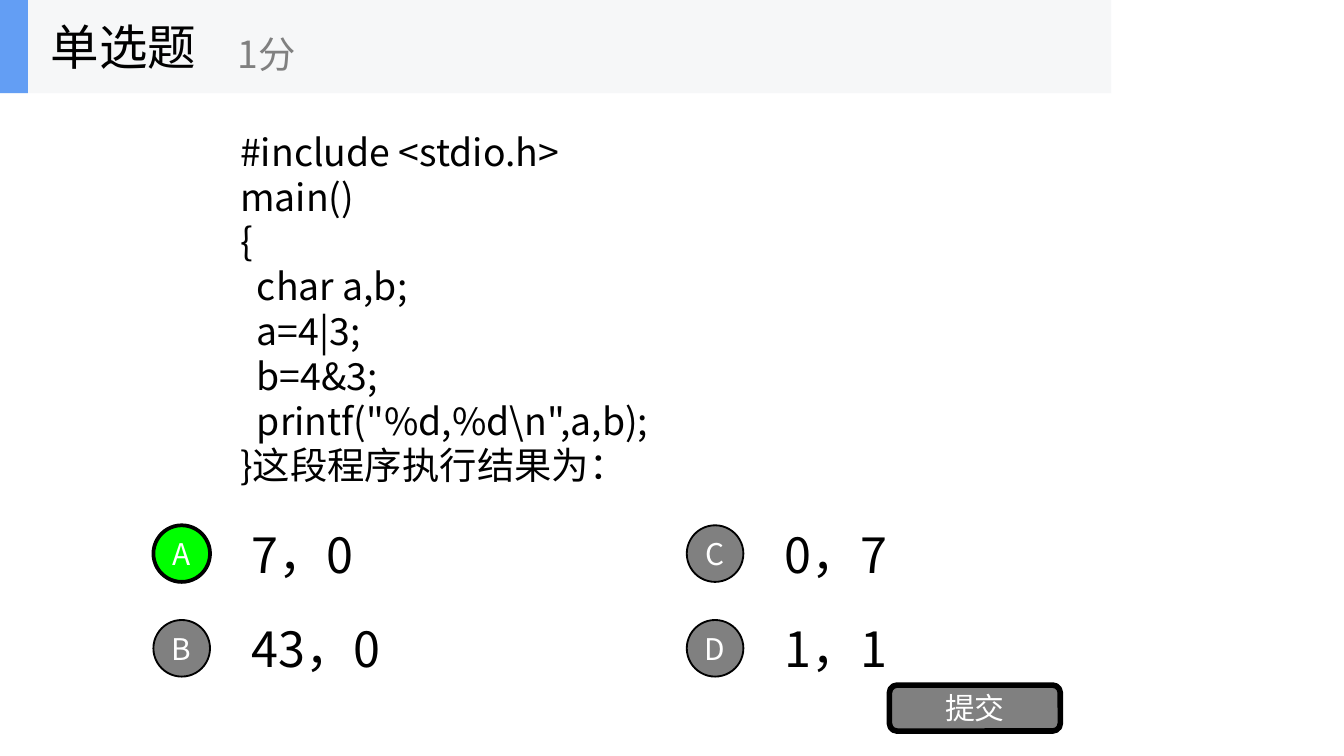
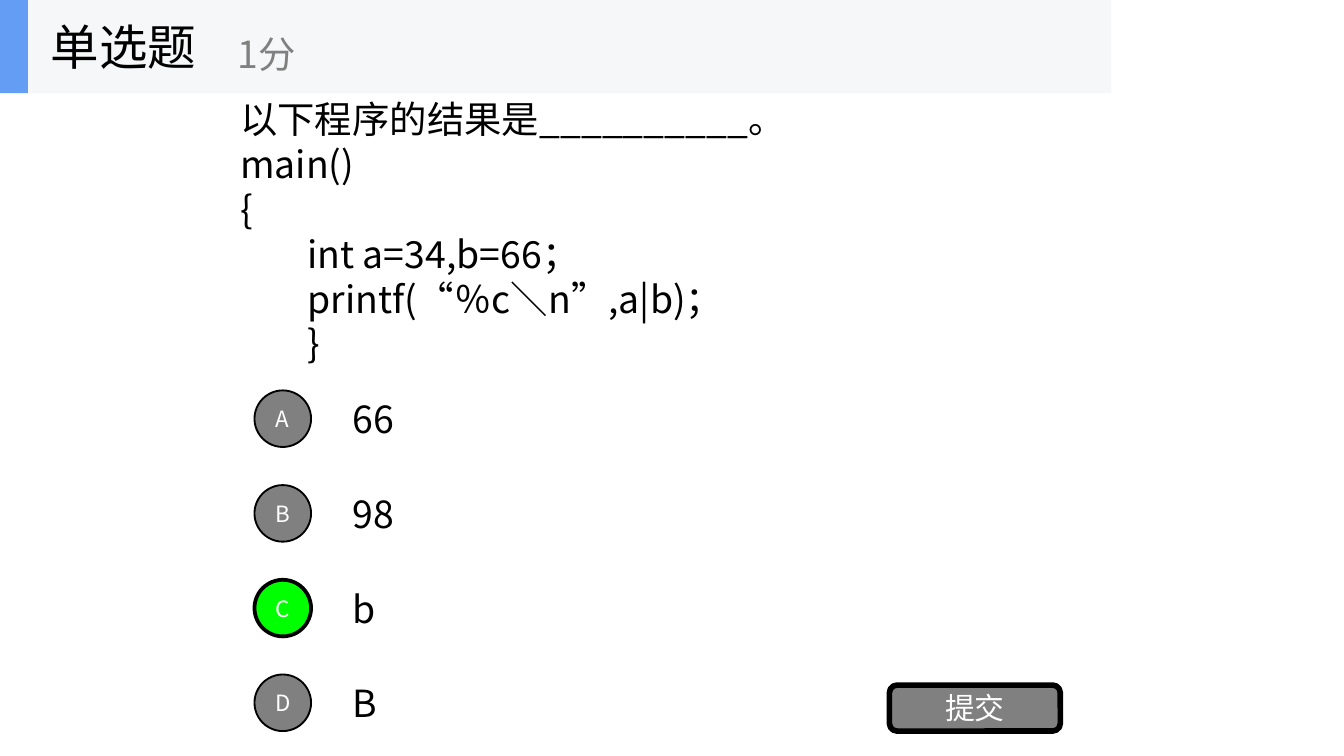
from dataclasses import dataclass

from lxml.etree import SubElement
from pptx import Presentation
from pptx.dml.color import RGBColor
from pptx.enum.lang import MSO_LANGUAGE_ID
from pptx.enum.shapes import MSO_SHAPE
from pptx.enum.text import MSO_ANCHOR, PP_ALIGN
from pptx.oxml.ns import qn
from pptx.util import Cm, Pt


@dataclass(frozen=True)
class Theme:
    """Colours and type sizes shared by the quiz slides."""
    font: str = "Noto Sans CJK SC"
    ink: str = "000000"
    muted: str = "808080"
    white: str = "FFFFFF"
    band: str = "F6F7F8"
    accent: str = "639EF4"
    correct: str = "00FF00"
    title_size: int = 26
    body_size: int = 20
    label_size: int = 16
    small_label_size: int = 12


THEME = Theme()
BAND_HEIGHT = 1.76
BADGE_SIZE = 1.07
ANSWER_HEIGHT = 1.35
ANSWER_INDENT = 1.6
OPTION_PITCH = 1.79
CODE_LEFT = 4.29
CODE_WIDTH = 16.81

BITWISE_CODE = r"""#include <stdio.h>
main()
{
  char a,b;
  a=4|3;
  b=4&3;
  printf("%d,%d\n",a,b);
}这段程序执行结果为："""

CHARACTER_CODE = """以下程序的结果是__________。
main()
{
int a=34,b=66；
printf(“％c＼n”,a|b)；
}"""


def write_text(shape, text, *, size, color=THEME.ink, align=PP_ALIGN.LEFT,
               indented_from=None):
    """Write each line of text as a paragraph in a vertically centred frame."""
    frame = shape.text_frame
    frame.word_wrap = True
    frame.vertical_anchor = MSO_ANCHOR.MIDDLE
    for index, line in enumerate(text.split("\n")):
        paragraph = frame.add_paragraph() if index else frame.paragraphs[0]
        paragraph.alignment = align
        if indented_from is not None and index >= indented_from:
            paragraph.level = 1
            properties = paragraph._p.get_or_add_pPr()
            properties.set("marL", str(Cm(1.27)))
            properties.set("indent", "0")
        run = paragraph.add_run()
        run.text = line
        run.font.size = Pt(size)
        run.font.name = THEME.font
        run.font.language_id = MSO_LANGUAGE_ID.SIMPLIFIED_CHINESE
        run.font.color.rgb = RGBColor.from_string(color)
        SubElement(run._r.get_or_add_rPr(), qn("a:ea"), typeface=THEME.font)


def add_text(slide, text, left, top, width, height, **text_format):
    """Add a text box, measured in centimetres."""
    box = slide.shapes.add_textbox(Cm(left), Cm(top), Cm(width), Cm(height))
    write_text(box, text, **text_format)


def add_block(slide, kind, left, top, width, height, fill, line_width=None):
    """Add a filled shape, outlined when a line width is given."""
    shape = slide.shapes.add_shape(kind, Cm(left), Cm(top), Cm(width), Cm(height))
    shape.shadow.inherit = False
    shape.fill.solid()
    shape.fill.fore_color.rgb = RGBColor.from_string(fill)
    if line_width:
        shape.line.color.rgb = RGBColor.from_string(THEME.ink)
        shape.line.width = Pt(line_width)
    else:
        shape.line.fill.background()
    return shape


def write_label(shape, text, size):
    """Centre a white label in a shape without inner margins."""
    frame = shape.text_frame
    frame.margin_left = frame.margin_right = 0
    frame.margin_top = frame.margin_bottom = 0
    write_text(shape, text, size=size, color=THEME.white, align=PP_ALIGN.CENTER)


def add_header(slide):
    """Add the band with the question type and its score."""
    add_block(slide, MSO_SHAPE.RECTANGLE, 0, 0, 21, BAND_HEIGHT, THEME.band)
    add_block(slide, MSO_SHAPE.RECTANGLE, 0, 0, 0.53, BAND_HEIGHT, THEME.accent)
    add_text(slide, "单选题", 0.71, 0, 5.28, BAND_HEIGHT, size=THEME.title_size)
    add_text(slide, "1分", 4.24, 0.3, 6.35, 1.42,
             size=THEME.body_size, color=THEME.muted)


def add_submit_button(slide):
    """Add the submit button."""
    button = add_block(slide, MSO_SHAPE.ROUNDED_RECTANGLE, 16.81, 12.95, 3.23, 0.87,
                       THEME.muted, line_width=3)
    write_label(button, "提交", THEME.label_size)


def add_code(slide, code, top, height, indented_from=None):
    """Add the program that the question asks about."""
    add_text(slide, code, CODE_LEFT, top, CODE_WIDTH, height,
             size=THEME.body_size, indented_from=indented_from)


def add_options(slide, answers, correct, left, top, *, rows, column_pitch=0,
                width, answer_size, label_size):
    """Add lettered answers, filling each column downwards."""
    for index, answer in enumerate(answers):
        column, row = divmod(index, rows)
        letter = "ABCD"[index]
        x = left + column * column_pitch
        y = top + row * OPTION_PITCH
        add_text(slide, answer, x + ANSWER_INDENT, y, width, ANSWER_HEIGHT,
                 size=answer_size)
        is_correct = letter == correct
        badge = add_block(slide, MSO_SHAPE.OVAL, x,
                          y + (ANSWER_HEIGHT - BADGE_SIZE) / 2, BADGE_SIZE, BADGE_SIZE,
                          THEME.correct if is_correct else THEME.muted,
                          line_width=2 if is_correct else 1)
        write_label(badge, letter, label_size)


def add_question_slide(presentation):
    """Add a blank slide with the shared header and button."""
    slide = presentation.slides.add_slide(presentation.slide_layouts[6])
    add_header(slide)
    add_submit_button(slide)
    return slide


def main():
    """Build the two quiz slides."""
    presentation = Presentation()
    presentation.slide_width = Cm(25.4)
    presentation.slide_height = Cm(14.29)

    slide = add_question_slide(presentation)
    add_code(slide, BITWISE_CODE, top=1.75, height=8.15)
    add_options(slide, ["7，0", "43，0", "0，7", "1，1"], "A", 2.9, 9.79,
                rows=2, column_pitch=10.08, width=7.7,
                answer_size=THEME.title_size, label_size=THEME.label_size)

    slide = add_question_slide(presentation)
    add_code(slide, CHARACTER_CODE, top=2.13, height=4.47, indented_from=3)
    add_options(slide, ["66", "98", "b", "B"], "C", 4.81, 7.24,
                rows=4, width=14.71,
                answer_size=THEME.body_size, label_size=THEME.small_label_size)

    presentation.save("out.pptx")


if __name__ == "__main__":
    main()
